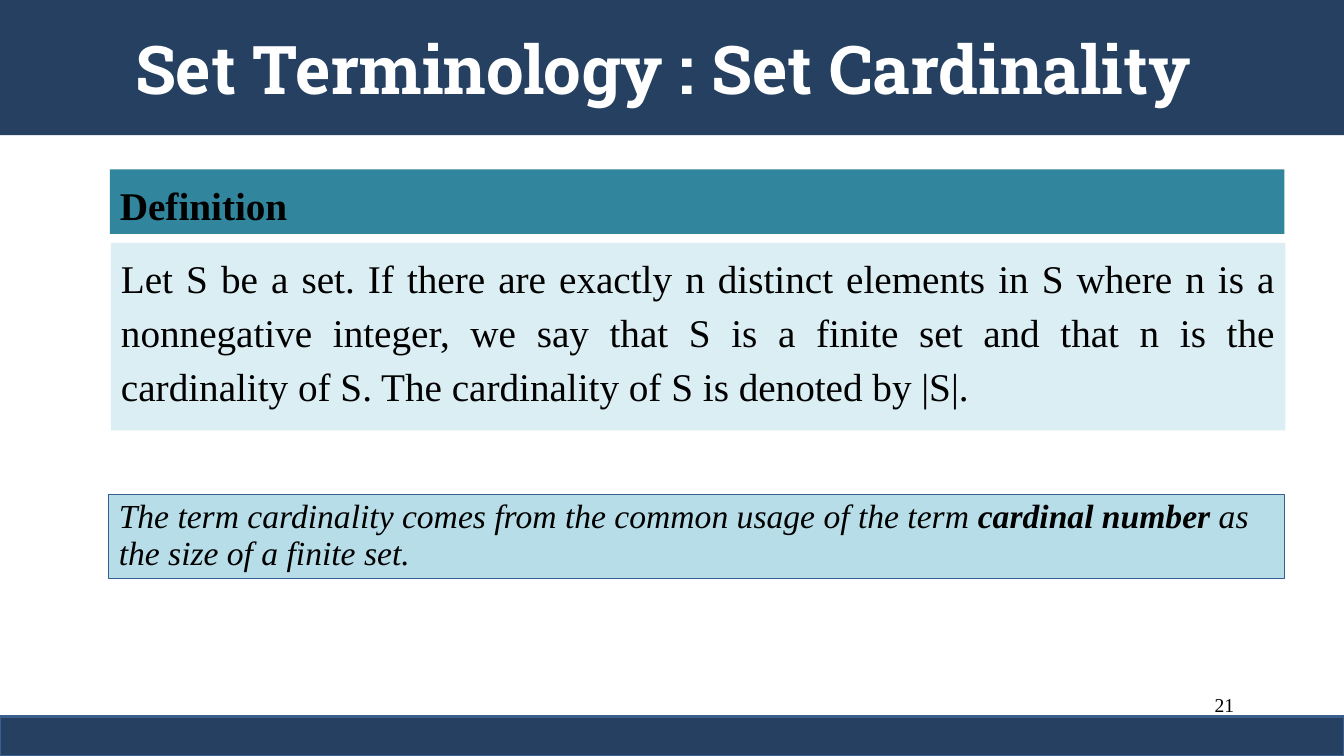
"""Build the set cardinality slide."""
from dataclasses import dataclass

from lxml import etree
from pptx import Presentation, util as u
from pptx.dml.color import RGBColor
from pptx.enum import shapes, text
from pptx.oxml import ns


@dataclass(frozen=True)
class Theme:
    navy: str = "254061"
    bar_line: str = "3A5F8C"
    teal: str = "31859C"
    pale: str = "DBEEF4"
    aqua: str = "B7DEE8"
    note_line: str = "376092"
    white: str = "FFFFFF"
    black: str = "000000"
    head_font: str = "Roboto Slab"
    body_font: str = "Times New Roman"
    title: int = 48
    body: int = 28
    note: int = 24
    number: int = 14


T = Theme()
LEFT, CENTER, RIGHT, JUSTIFY = (text.PP_ALIGN.LEFT, text.PP_ALIGN.CENTER,
                                text.PP_ALIGN.RIGHT, text.PP_ALIGN.JUSTIFY)


def write(tf, paragraphs, size=T.body, font=T.body_font, color=T.black, bold=False,
          italic=False, align=LEFT, spacing=1.0, anchor=text.MSO_ANCHOR.TOP):
    tf.word_wrap = True
    tf.auto_size = text.MSO_AUTO_SIZE.NONE
    tf.vertical_anchor = anchor
    for i, runs in enumerate(paragraphs):
        p = tf.paragraphs[0] if i == 0 else tf.add_paragraph()
        pPr = p._p.get_or_add_pPr()
        pPr.set("marL", "0")
        pPr.set("indent", "0")
        etree.SubElement(pPr, ns.qn("a:buNone"))
        p.alignment, p.line_spacing, p.space_before = align, spacing, u.Pt(0)
        for words, strong in runs:
            r = p.add_run()
            r.text = words
            r.font.name, r.font.size = font, u.Pt(size)
            r.font.bold, r.font.italic = bold or strong, italic
            r.font.color.rgb = RGBColor.from_string(color)


class Deck:
    def __init__(self, theme):
        self.t = theme
        self.prs = Presentation()
        self.prs.slide_width, self.prs.slide_height = u.Inches(13.33), u.Inches(7.5)
        self.s = self.prs.slides.add_slide(self.prs.slide_layouts[1])

    def fill(self, sp, back):
        sp.fill.solid()
        sp.fill.fore_color.rgb = RGBColor.from_string(back)

    def placeholder(self, idx, box, back, paragraphs, **fmt):
        sp = self.s.placeholders[idx]
        sp.left, sp.top, sp.width, sp.height = map(u.Inches, box)
        self.fill(sp, back)
        write(sp.text_frame, paragraphs, **fmt)

    def panel(self, box, back, line=None, weight=1, paragraphs=(), **fmt):
        sp = self.s.shapes.add_shape(shapes.MSO_SHAPE.RECTANGLE, *map(u.Inches, box))
        sp.shadow.inherit = False
        self.fill(sp, back)
        if line:
            sp.line.color.rgb = RGBColor.from_string(line)
            sp.line.width = u.Pt(weight)
        else:
            sp.line.fill.background()
        write(sp.text_frame, paragraphs, **fmt)

    def label(self, box, paragraphs, **fmt):
        sp = self.s.shapes.add_textbox(*map(u.Inches, box))
        write(sp.text_frame, paragraphs, **fmt)


def main():
    d = Deck(T)
    t = d.t
    d.label((9.56, 6.83, 2.78, 0.5), [[("21", False)]], size=t.number, align=RIGHT)
    d.placeholder(0, (0, 0, 13.33, 1.34), t.navy,
                  [[("Set Terminology : Set Cardinality ", False)]],
                  size=t.title, font=t.head_font, color=t.white, bold=True,
                  align=CENTER, anchor=text.MSO_ANCHOR.MIDDLE)
    d.panel((0, 7.11, 13.33, 0.39), t.navy, t.bar_line, 2)
    d.panel((1.09, 1.68, 11.65, 0.64), t.teal, paragraphs=[[("Definition", True)]],
            spacing=1.14)
    d.placeholder(1, (1.1, 2.41, 11.65, 1.86), t.pale,
                  [[("Let S be a set. If there are exactly n distinct elements in S "
                     "where n is a nonnegative integer, we say that S is a finite set "
                     "and that n is the cardinality of S. The cardinality of S is "
                     "denoted by |S|.", False)]],
                  align=JUSTIFY, spacing=1.14)
    d.panel((1.08, 4.91, 11.66, 0.83), t.aqua, t.note_line, 0.75,
            [[("The term cardinality comes from the common usage of the term ", False),
              ("cardinal number ", True), ("as", False)],
             [("the size of a finite set.", False)]],
            size=t.note, italic=True, align=JUSTIFY, spacing=0.9)
    d.prs.save("out.pptx")


if __name__ == "__main__":
    main()
